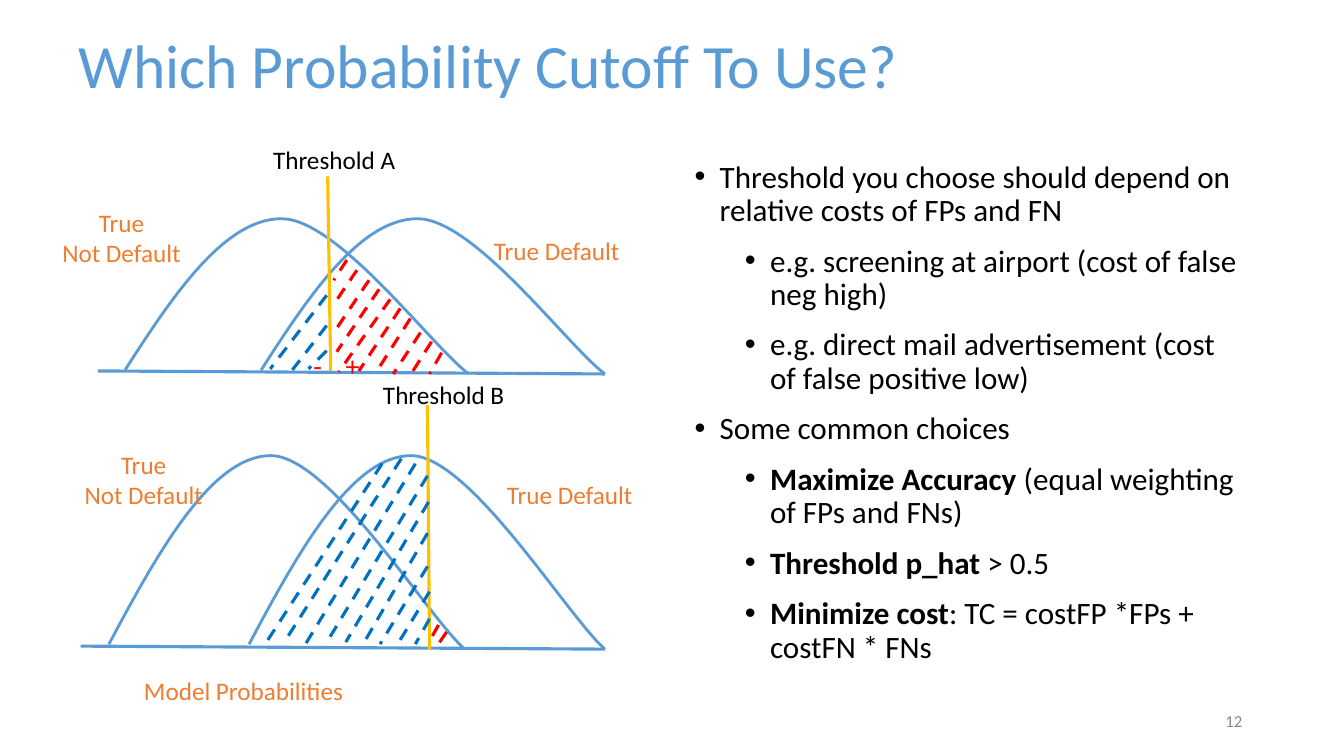
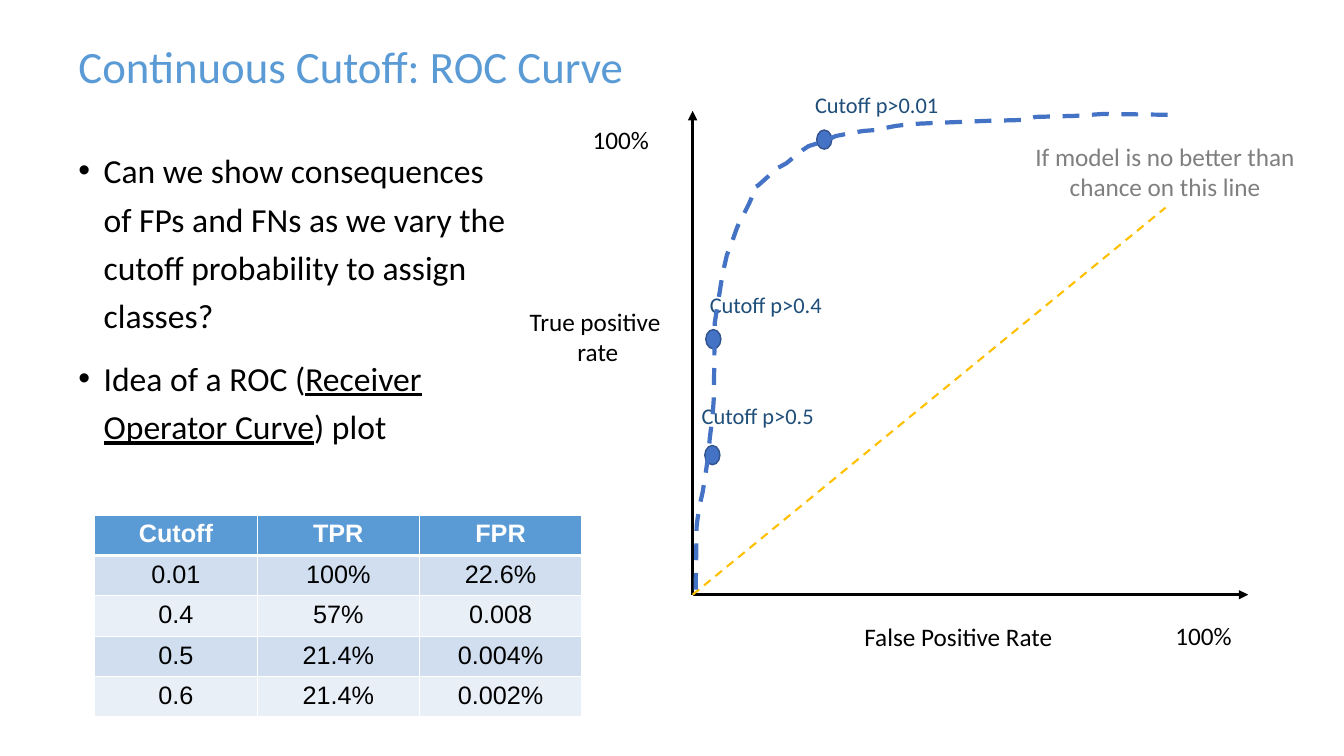
from lxml import etree
from pptx import Presentation
from pptx import util as u
from pptx.dml.color import RGBColor
from pptx.enum import dml, shapes, text
from pptx.oxml.ns import qn

BLUE, ORANGE, GOLD, RED = "5B9BD5", "ED7D31", "FFC000", "FF0000"
HATCH, ROC, NAVY, BLACK, GREY = "0070C0", "4472C4", "1E4E79", "000000", "7F7F7F"
WHITE = "FFFFFF"
LEFT, CENTER, RIGHT = text.PP_ALIGN.LEFT, text.PP_ALIGN.CENTER, text.PP_ALIGN.RIGHT


def rgb(value):
    return RGBColor.from_string(value)


class Deck:
    font = "Calibri"

    def __init__(self):
        self.prs = Presentation()
        self.prs.slide_width, self.prs.slide_height = u.Inches(13.33), u.Inches(7.5)

    def new_slide(self, title, size):
        self.slide = self.prs.slides.add_slide(self.prs.slide_layouts[6])
        heading = self.label(title, 0.68, 0.09, 11.89, 1.18, BLUE, size, LEFT, True)
        heading.paragraphs[0].line_spacing = 0.9

    def style(self, font, size, color, bold=None):
        font.name, font.size, font.bold = self.font, u.Pt(size), bold
        font.color.rgb = rgb(color)

    def frame(self, x, y, w, h, middle=False):
        box = self.slide.shapes.add_textbox(*map(u.Inches, (x, y, w, h)))
        frame = box.text_frame
        frame.word_wrap = True
        if middle:
            frame.vertical_anchor = text.MSO_ANCHOR.MIDDLE
        return frame

    def label(self, words, x, y, w, h, color=BLACK, size=18, align=CENTER, middle=False):
        frame = self.frame(x, y, w, h, middle)
        frame.text = words
        for paragraph in frame.paragraphs:
            paragraph.alignment = align
            self.style(paragraph.font, size, color)
        return frame

    def bullets(self, items, x, y, w, h, size, spacing, before):
        frame = self.frame(x, y, w, h)
        for index, (level, runs) in enumerate(items):
            paragraph = frame.add_paragraph() if index else frame.paragraphs[0]
            paragraph.level = level
            paragraph.line_spacing = spacing
            paragraph.space_before = u.Pt(before if index else 0)
            props = paragraph._p.get_or_add_pPr()
            props.set("marL", str(u.Inches(0.25 + 0.5 * level)))
            props.set("indent", str(u.Inches(-0.25)))
            etree.SubElement(props, qn("a:buFont")).set("typeface", "Arial")
            etree.SubElement(props, qn("a:buChar")).set("char", "•")
            self.style(paragraph.font, size, BLACK)
            for words, emphasis in runs:
                run = paragraph.add_run()
                run.text = words
                if emphasis == "bold":
                    run.font.bold = True
                elif emphasis == "underline":
                    run.font.underline = True

    def stroke(self, line, color, width, dashed):
        line.color.rgb, line.width = rgb(color), u.Pt(width)
        if dashed:
            line.dash_style = dml.MSO_LINE.DASH

    def line(self, start, end, color, width=2.25, dashed=False, arrow=False):
        connector = self.slide.shapes.add_connector(
            shapes.MSO_CONNECTOR.STRAIGHT, *map(u.Inches, (*start, *end)))
        self.stroke(connector.line, color, width, dashed)
        props = connector._element.spPr
        if arrow:
            etree.SubElement(props.find(qn("a:ln")), qn("a:tailEnd")).set("type", "triangle")
        etree.SubElement(props, qn("a:effectLst"))

    def hatch(self, color, segments):
        for x1, y1, x2, y2 in segments:
            self.line((x1, y1), (x2, y2), color, dashed=True)

    def outline(self, points, color, width, dashed=False):
        start, *rest = [(u.Inches(x), u.Inches(y)) for x, y in points]
        builder = self.slide.shapes.build_freeform(*start)
        builder.add_line_segments(rest, close=False)
        outline = builder.convert_to_shape()
        outline.shadow.inherit = False
        outline.fill.background()
        self.stroke(outline.line, color, width, dashed)
        return outline

    def bell(self, left, top, width, height):
        profile = [(0, 0.975), (0.14, 0.49), (0.29, 0), (0.455, 0),
                   (0.62, 0), (0.895, 0.83), (1, 1)]
        bell = self.outline([(left + dx * width, top + dy * height) for dx, dy in profile],
                            BLUE, 2)
        segments = list(bell._element.iter(qn("a:lnTo")))
        for first in range(0, len(segments), 3):
            bend = etree.Element(qn("a:cubicBezTo"))
            segments[first].addprevious(bend)
            for segment in segments[first:first + 3]:
                bend.append(segment[0])
                segment.getparent().remove(segment)

    def dot(self, x, y):
        dot = self.slide.shapes.add_shape(
            shapes.MSO_SHAPE.OVAL, *map(u.Inches, (x, y, 0.15, 0.19)))
        dot.shadow.inherit = False
        dot.fill.solid()
        dot.fill.fore_color.rgb = rgb(ROC)
        self.stroke(dot.line, "31538F", 1, False)

    def rule_below(self, cell, points):
        border = etree.Element(qn("a:lnB"), w=str(u.Pt(points)))
        fill = etree.SubElement(border, qn("a:solidFill"))
        etree.SubElement(fill, qn("a:srgbClr")).set("val", WHITE)
        cell._tc.get_or_add_tcPr().insert(0, border)

    def table(self, rows, x, y, column, row_height):
        grid = self.slide.shapes.add_table(
            len(rows), len(rows[0]), u.Inches(x), u.Inches(y),
            u.Inches(column * len(rows[0])), u.Inches(row_height * len(rows))).table
        for r, values in enumerate(rows):
            fill = ("E9EFF7", "D0DEEF")[r % 2] if r else BLUE
            for c, value in enumerate(values):
                cell = grid.cell(r, c)
                cell.text = value
                cell.fill.solid()
                cell.fill.fore_color.rgb = rgb(fill)
                self.rule_below(cell, 1 if r else 3)
                paragraph = cell.text_frame.paragraphs[0]
                paragraph.alignment = CENTER
                self.style(paragraph.font, 18, BLACK if r else WHITE, r == 0)
                paragraph.font.name = "Arial"


def cutoff_slide(deck):
    deck.new_slide("Which Probability Cutoff To Use?", 44)
    deck.label("12", 9.42, 6.95, 3, 0.4, "888888", 12, RIGHT, True)

    deck.line((0.8, 6.41), (6, 6.44), BLUE)
    for left in (2.47, 1.08):
        deck.bell(left, 4.52, 3.53, 1.92)
    deck.line((4.24, 4.02), (4.26, 6.44), GOLD)
    deck.hatch(HATCH, [
        (3.79, 4.6, 2.63, 6.39), (3.98, 4.55, 2.82, 6.37), (4.12, 4.6, 3.03, 6.39),
        (4.24, 4.72, 3.23, 6.39), (4.25, 4.98, 3.43, 6.37), (4.24, 5.29, 3.59, 6.41),
        (4.24, 5.62, 3.77, 6.39), (4.26, 5.87, 3.95, 6.38), (4.26, 6.14, 4.12, 6.39)])
    deck.hatch(RED, [(4.35, 6.2, 4.26, 6.36), (4.43, 6.27, 4.34, 6.4)])

    deck.line((0.97, 3.68), (6, 3.71), BLUE)
    for left in (2.59, 1.24):
        deck.bell(left, 2.17, 3.41, 1.54)
    deck.line((3.25, 1.75), (3.28, 3.68), GOLD)
    for sign, x, width in (("-", 3.01, 0.2), ("+", 3.33, 0.24)):
        deck.label(sign, x, 3.41, width, 0.26, RED, 20, LEFT)
    deck.hatch(RED, [
        (3.44, 2.58, 3.31, 2.78), (3.54, 2.68, 3.31, 3.02), (3.66, 2.78, 3.31, 3.3),
        (3.76, 2.87, 3.34, 3.49), (3.87, 2.97, 3.36, 3.69), (3.97, 3.06, 3.56, 3.68),
        (4.07, 3.16, 3.72, 3.71), (4.17, 3.3, 3.9, 3.71), (4.28, 3.39, 4.09, 3.69),
        (4.38, 3.5, 4.26, 3.71)])
    deck.hatch(HATCH, [(3.24, 2.93, 2.68, 3.66), (3.24, 3.23, 2.9, 3.67),
                       (3.24, 3.48, 3.06, 3.66)])

    for name, x, y, width in (("A", 2.61, 1.38, 1.56), ("B", 3.7, 3.71, 1.42)):
        deck.label(f"Threshold {name}", x, y, width, 0.4, align=LEFT)
    for x, y in ((0.51, 2.01), (0.73, 4.41)):
        deck.label("True\nNot Default", x, y, 1.39, 0.71, ORANGE)
    for x, y in ((4.8, 2.29), (4.93, 4.71)):
        deck.label("True Default", x, y, 1.46, 0.4, ORANGE, align=LEFT)
    deck.label("Model Probabilities", 1.33, 6.65, 2.2, 0.4, ORANGE, align=LEFT)

    deck.bullets([
        (0, [("Threshold you choose should depend on relative costs of FPs and FN", "")]),
        (1, [("e.g. screening at airport (cost of false neg high)", "")]),
        (1, [("e.g. direct mail advertisement (cost of false positive low)", "")]),
        (0, [("Some common choices", "")]),
        (1, [("Maximize Accuracy ", "bold"), ("(equal weighting of FPs and FNs)", "")]),
        (1, [("Threshold p_hat ", "bold"), ("> 0.5", "")]),
        (1, [("Minimize cost", "bold"), (": TC = costFP *FPs + costFN * FNs", "")]),
    ], 6.79, 1.55, 5.63, 5.21, 22.2, 0.9, 12)


def roc_slide(deck):
    deck.new_slide("Continuous Cutoff: ROC Curve", 32)
    deck.bullets([
        (0, [("Can we show consequences of FPs and FNs as we vary the cutoff "
              "probability to assign classes?", "")]),
        (0, [("Idea of a ROC (", ""), ("Receiver Operator Curve", "underline"),
             (") plot", "")]),
    ], 0.68, 1.36, 4.57, 5.21, 24, 1.2, 10)

    origin = (6.87, 5.9)
    for tip in ((6.87, 1.1), (12.38, 5.9)):
        deck.line(origin, tip, BLACK, arrow=True)
    deck.line(origin, (11.56, 2.06), GOLD, 1.5, True)
    deck.label("True positive \nrate", 4.98, 2.99, 1.9, 0.87)
    deck.label("False Positive Rate", 8.25, 6.11, 2.51, 0.49)
    for x, y in ((5.78, 1.18), (11.56, 6.1)):
        deck.label("100%", x, y, 0.92, 0.49, align=LEFT)

    for cutoff, dot, place in (("0.5", (6.99, 4.42), (6.79, 3.94)),
                               ("0.4", (7, 3.27), (6.87, 2.84)),
                               ("0.01", (8.1, 1.29), (7.97, 0.86))):
        deck.dot(*dot)
        deck.label(f"Cutoff p>{cutoff}", *place, 1.45, 0.37, NAVY, 16)
    deck.label("If model is no better than chance on this line", 10, 1.35, 3.11, 0.71, GREY)

    deck.table([("Cutoff", "TPR", "FPR"),
                ("0.01", "100%", "22.6%"),
                ("0.4", "57%", "0.008"),
                ("0.5", "21.4%", "0.004%"),
                ("0.6", "21.4%", "0.002%")], 0.94, 5.11, 1.61, 0.4)

    deck.outline([
        (6.9, 5.85), (6.91, 5.22), (6.92, 5.14), (6.95, 4.97), (6.97, 4.88), (7, 4.69),
        (7.03, 4.48), (7.04, 4.35), (7.07, 4.11), (7.08, 3.95), (7.09, 3.2), (7.12, 3.01),
        (7.14, 2.89), (7.15, 2.82), (7.18, 2.66), (7.21, 2.53), (7.25, 2.43), (7.31, 2.26),
        (7.36, 2.15), (7.38, 2.12), (7.43, 2.02), (7.46, 1.95), (7.48, 1.86), (7.52, 1.84),
        (7.62, 1.75), (7.69, 1.68), (7.8, 1.62), (7.86, 1.57), (7.96, 1.49), (8.02, 1.45),
        (8.18, 1.4), (8.29, 1.35), (8.44, 1.32), (8.56, 1.3), (8.68, 1.29), (8.88, 1.25),
        (9.05, 1.23), (9.27, 1.22), (9.77, 1.2), (10.16, 1.19), (10.27, 1.16),
        (10.66, 1.15), (10.95, 1.13), (11.64, 1.14)], ROC, 3, True)


def main():
    deck = Deck()
    cutoff_slide(deck)
    roc_slide(deck)
    deck.prs.save("out.pptx")


if __name__ == "__main__":
    main()
